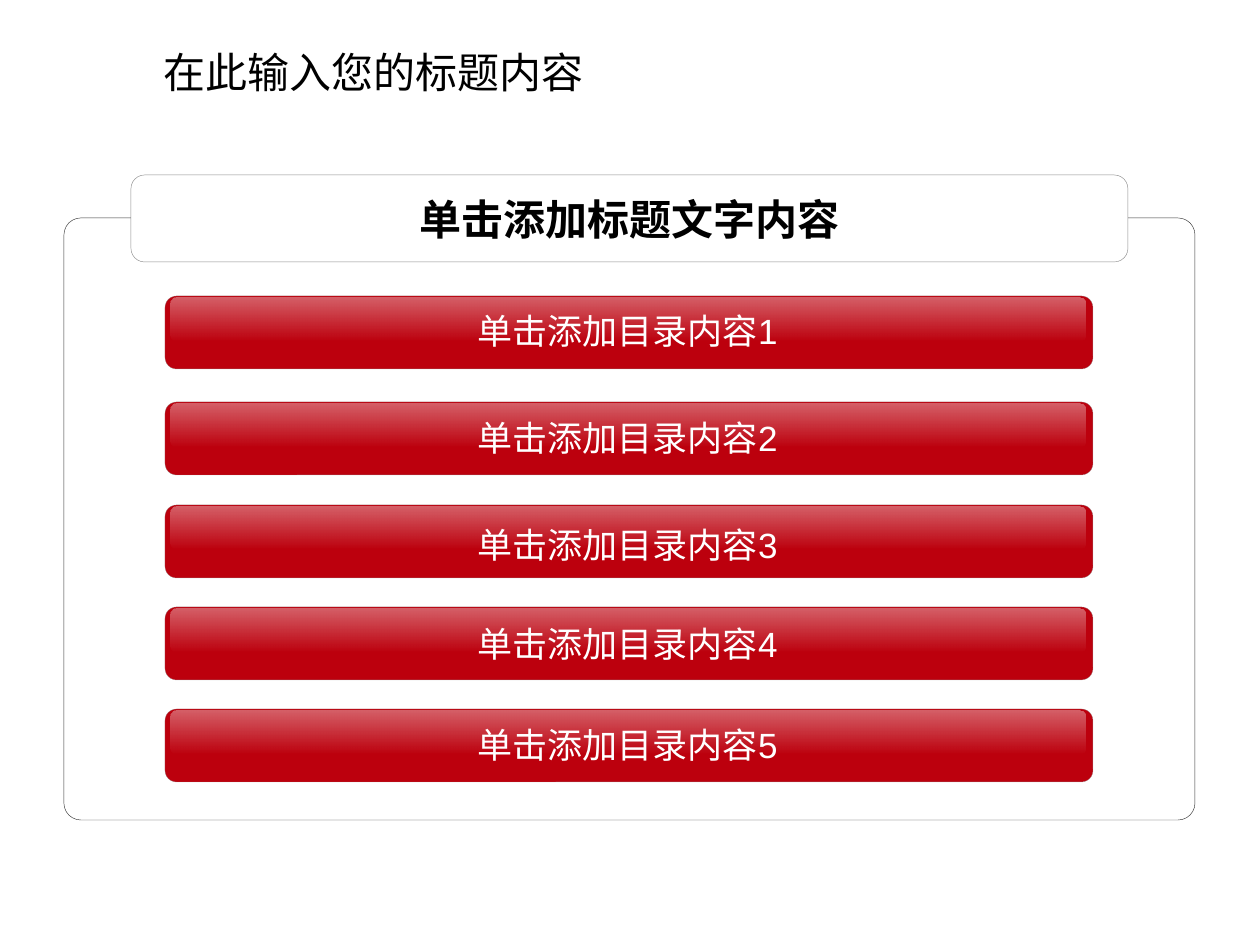
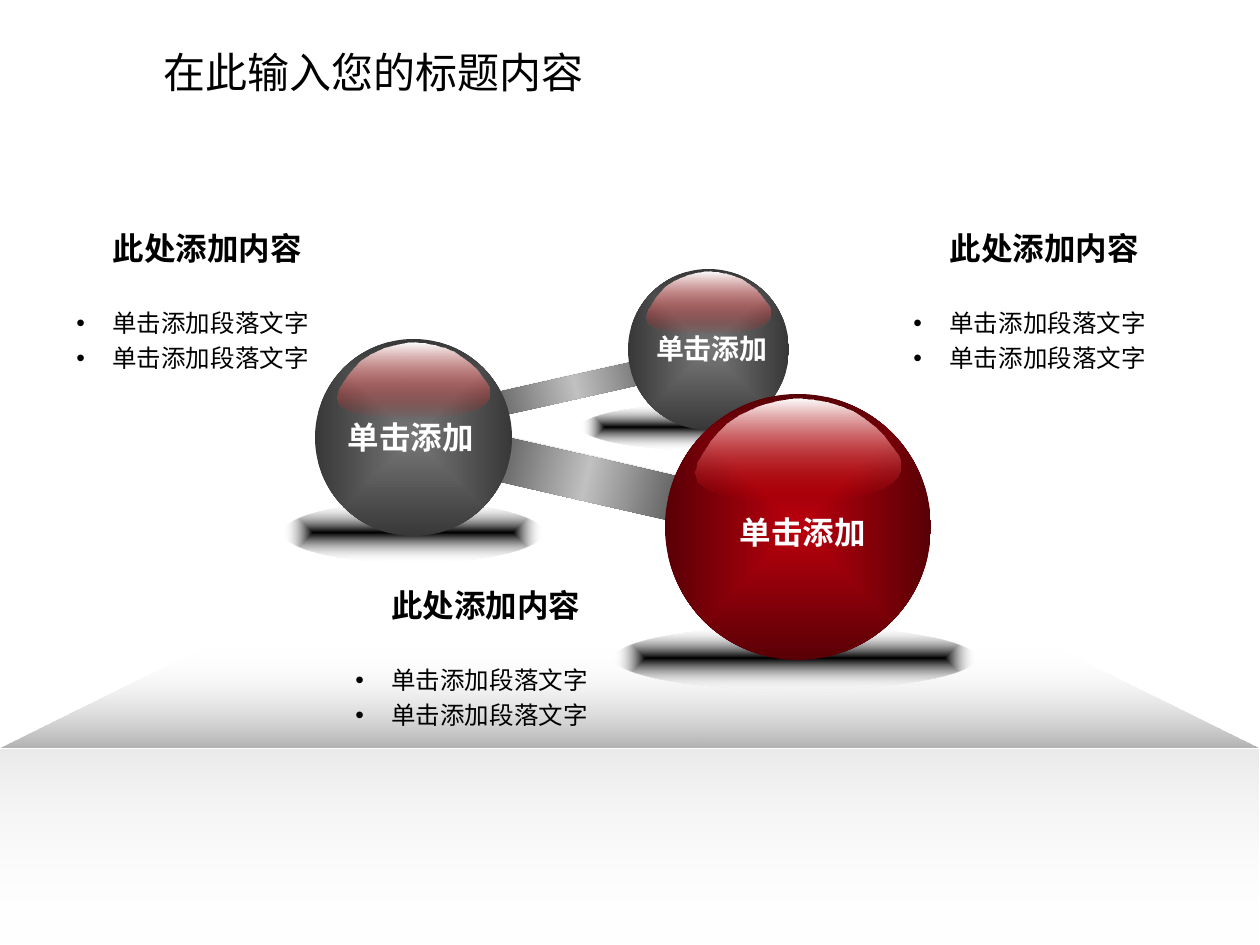
from lxml import etree
from pptx import Presentation
from pptx.dml.color import RGBColor
from pptx.enum.shapes import MSO_SHAPE as Shape
from pptx.enum.text import MSO_ANCHOR as Anchor, PP_ALIGN as Align
from pptx.oxml import parse_xml
from pptx.oxml.ns import nsdecls, qn
from pptx.util import Pt

EMU_PER_PX = 914400 / 126
SLIDE_W, SLIDE_H = 1260, 945
FONT = "Arial"
BLACK, WHITE, RED, DARK_RED = "000000", "FFFFFF", "BC000D", "590006"
OUTLINE, BAR_EDGE = "333333", "969696"
PALE, SILVER, STEEL = "EAEAEA", "C0C0C0", "595959"
GREY, DARK_GREY, FLOOR = "777777", "383838", "B2B2B2"

DOME_SPHERE = 211
DOME_OUTLINE = [
    (185, 49), (187, 54), (187, 58), (186, 62), (184, 66), (181, 69), (177, 72),
    (172, 75), (166, 77), (159, 79), (151, 81), (144, 82), (135, 83), (126, 84),
    (83, 84), (75, 83), (67, 83), (60, 82), (53, 81), (47, 80), (42, 78),
    (37, 77), (33, 75), (29, 72), (26, 70), (25, 66), (24, 62), (25, 59),
    (26, 54), (31, 46), (36, 38), (42, 31), (49, 24), (58, 18), (66, 14),
    (75, 10), (86, 7), (96, 5), (107, 4), (118, 5), (129, 7), (139, 10),
    (149, 14), (158, 20), (166, 26), (173, 33), (179, 41),
]


def px(length):
    """Turn px into EMU."""
    return round(length * EMU_PER_PX)


def color(hex_value):
    """Turn a hex string into a colour."""
    return RGBColor.from_string(hex_value)


def set_alpha(color_holder, percent):
    """Give the first colour inside an element an opacity."""
    rgb = next(color_holder.iter(qn("a:srgbClr")))
    etree.SubElement(rgb, qn("a:alpha")).set("val", str(percent * 1000))


def set_gradient(shape, stops, angle=None):
    """Fill with (position, colour, opacity) stops, from the centre if no angle is given."""
    marks = "".join(
        f'<a:gs pos="{at * 1000}"><a:srgbClr val="{tone}">'
        f'<a:alpha val="{opacity * 1000}"/></a:srgbClr></a:gs>'
        for at, tone, opacity in stops)
    if angle is None:
        course = ('<a:path path="rect"><a:fillToRect l="50000" t="50000" '
                  'r="50000" b="50000"/></a:path>')
    else:
        course = f'<a:lin ang="{angle * 60000}" scaled="0"/>'
    shape.fill.solid()
    properties = shape.element.spPr
    properties.replace(properties.find(qn("a:solidFill")), parse_xml(
        f'<a:gradFill {nsdecls("a")} rotWithShape="1">'
        f'<a:gsLst>{marks}</a:gsLst>{course}</a:gradFill>'))


def finish(shape, fill=None, line=None, line_alpha=100):
    """Set a flat fill and a hairline, or none, without shadow."""
    shape.shadow.inherit = False
    if fill:
        shape.fill.solid()
        shape.fill.fore_color.rgb = color(fill)
    else:
        shape.fill.background()
    if line:
        shape.line.color.rgb = color(line)
        shape.line.width = Pt(0.25)
        set_alpha(shape.element.spPr.find(qn("a:ln")), line_alpha)
    else:
        shape.line.fill.background()


def add_block(shapes, kind, box, corner=None, **look):
    """Add a preset shape in a px box."""
    block = shapes.add_shape(kind, *map(px, box))
    if corner is not None:
        block.adjustments[0] = corner
    finish(block, **look)
    return block


def add_outline(shapes, points):
    """Add a closed polygon through px points."""
    corners = [(px(x), px(y)) for x, y in points]
    builder = shapes.build_freeform(*corners[0])
    builder.add_line_segments(corners[1:], close=True)
    outline = builder.convert_to_shape()
    finish(outline)
    return outline


def write(paragraph, wording, size, tone=BLACK, bold=False, align=Align.CENTER, before=0):
    """Write one styled run into a paragraph."""
    paragraph.alignment = align
    paragraph.space_before = Pt(before)
    run = paragraph.add_run()
    run.text = wording
    run.font.name, run.font.size, run.font.bold = FONT, Pt(size), bold
    run.font.color.rgb = color(tone)


def add_text(shapes, box, wording, size, anchor=Anchor.TOP, **style):
    """Add a one-line text box."""
    frame = shapes.add_textbox(*map(px, box)).text_frame
    frame.word_wrap = True
    frame.vertical_anchor = anchor
    write(frame.paragraphs[0], wording, size, **style)


def add_bullets(shapes, box, lines):
    """Add a bulleted list."""
    frame = shapes.add_textbox(*map(px, box)).text_frame
    frame.word_wrap = True
    for index, wording in enumerate(lines):
        item = frame.add_paragraph() if index else frame.paragraphs[0]
        write(item, wording, 14, align=Align.LEFT)
        item.line_spacing = 1.2
        indent = item._p.get_or_add_pPr()
        indent.set("marL", str(px(36)))
        indent.set("indent", str(-px(36)))
        etree.SubElement(indent, qn("a:buFont")).set("typeface", FONT)
        etree.SubElement(indent, qn("a:buChar")).set("char", "•")


def add_titled_slide(deck):
    """Add a blank slide with the shared title and return its shapes."""
    shapes = deck.slides.add_slide(deck.slide_layouts[6]).shapes
    add_text(shapes, (151, 40, 663, 63), "在此输入您的标题内容", 24, align=Align.LEFT)
    return shapes


def add_agenda_bar(shapes, top, label_top, wording):
    """Add a glossy red bar with its label."""
    bar = shapes.add_group_shape().shapes
    add_block(bar, Shape.ROUNDED_RECTANGLE, (165, top, 928, 73), 0.157,
              fill=RED, line=BAR_EDGE, line_alpha=57)
    gloss = add_block(bar, Shape.ROUNDED_RECTANGLE, (170, top + 2, 915, 42), 0.143)
    set_gradient(gloss, [(0, WHITE, 38), (100, WHITE, 0)], 90)
    add_text(bar, (164, label_top, 927, 63), wording, 20, Anchor.MIDDLE,
             tone=WHITE, before=12.5)


def add_sphere(shapes, left, top, size, centre, rim):
    """Add a shaded ball with a highlight dome."""
    ball = add_block(shapes, Shape.OVAL, (left, top, size, size))
    set_gradient(ball, [(0, centre, 100), (100, rim, 100)])
    ratio = size / DOME_SPHERE
    dome = add_outline(shapes, [(left + x * ratio, top + y * ratio) for x, y in DOME_OUTLINE])
    set_gradient(dome, [(0, WHITE, 100), (100, "FF0000", 0)], 90)


def add_beam(shapes, back_box, front_box, tilt):
    """Add a tilted metal beam over its pale backing."""
    back = add_block(shapes, Shape.RECTANGLE, back_box, fill=PALE)
    front = add_block(shapes, Shape.RECTANGLE, front_box)
    set_gradient(front, [(0, STEEL, 100), (50, SILVER, 100), (100, STEEL, 100)], 0)
    back.rotation = front.rotation = tilt


def add_note(shapes, left, top):
    """Add a heading with two bullets below it."""
    add_text(shapes, (left, top, 286, 50), "此处添加内容", 18, bold=True, before=11.2)
    add_bullets(shapes, (left, top + 73, 295, 83), ["单击添加段落文字"] * 2)


def add_stage(shapes):
    """Add the floor and its front edge."""
    floor = add_outline(shapes, [(0, 748), (202, 649), (1057, 649), (1259, 748)])
    set_gradient(floor, [(0, WHITE, 0), (100, FLOOR, 100)], 90)
    edge = add_block(shapes, Shape.RECTANGLE, (0, 750, 1259, 195))
    set_gradient(edge, [(0, FLOOR, 27), (100, WHITE, 0)], 90)


def build_agenda(deck):
    """Build the framed list of contents."""
    shapes = add_titled_slide(deck)
    add_block(shapes, Shape.ROUNDED_RECTANGLE, (64, 218, 1131, 602), 0.028, line=OUTLINE)
    heading = add_block(shapes, Shape.ROUNDED_RECTANGLE, (131, 175, 997, 87), 0.157,
                        fill=WHITE, line=OUTLINE, line_alpha=57)
    heading.text_frame.word_wrap = False
    heading.text_frame.vertical_anchor = Anchor.MIDDLE
    write(heading.text_frame.paragraphs[0], "单击添加标题文字内容", 24, bold=True, before=15)
    tops = [(296, 299), (402, 406), (505, 513), (607, 612), (709, 713)]
    for number, (top, label_top) in enumerate(tops, 1):
        add_agenda_bar(shapes, top, label_top, f"单击添加目录内容{number}")


def build_spheres(deck):
    """Build the three linked balls with their notes."""
    shapes = add_titled_slide(deck)
    add_stage(shapes)
    model = shapes.add_group_shape().shapes
    for shade_box in [(284, 503, 258, 59), (582, 404, 277, 47), (615, 627, 360, 62)]:
        shade = add_block(model, Shape.OVAL, shade_box)
        set_gradient(shade, [(0, BLACK, 100), (100, WHITE, 0)])
    add_beam(model, (499, 455, 181, 29), (496, 456, 181, 45), 12.9)
    add_beam(model, (484, 374, 181, 16), (485, 375, 181, 24), -12.6)
    add_sphere(model, 315, 339, 197, GREY, DARK_GREY)
    add_sphere(model, 628, 269, 161, GREY, DARK_GREY)
    add_sphere(model, 665, 394, 266, RED, DARK_RED)
    for left, top in [(64, 223), (901, 223), (343, 580)]:
        add_note(shapes, left, top)
    for left, top, size in [(721, 465, 18), (329, 370, 18), (630, 281, 16)]:
        add_text(shapes, (left, top, 164, 134), "单击添加", size, Anchor.MIDDLE,
                 tone=WHITE, bold=True)


def main():
    """Build and save the deck."""
    deck = Presentation()
    deck.slide_width, deck.slide_height = px(SLIDE_W), px(SLIDE_H)
    build_agenda(deck)
    build_spheres(deck)
    deck.save("out.pptx")


if __name__ == "__main__":
    main()
